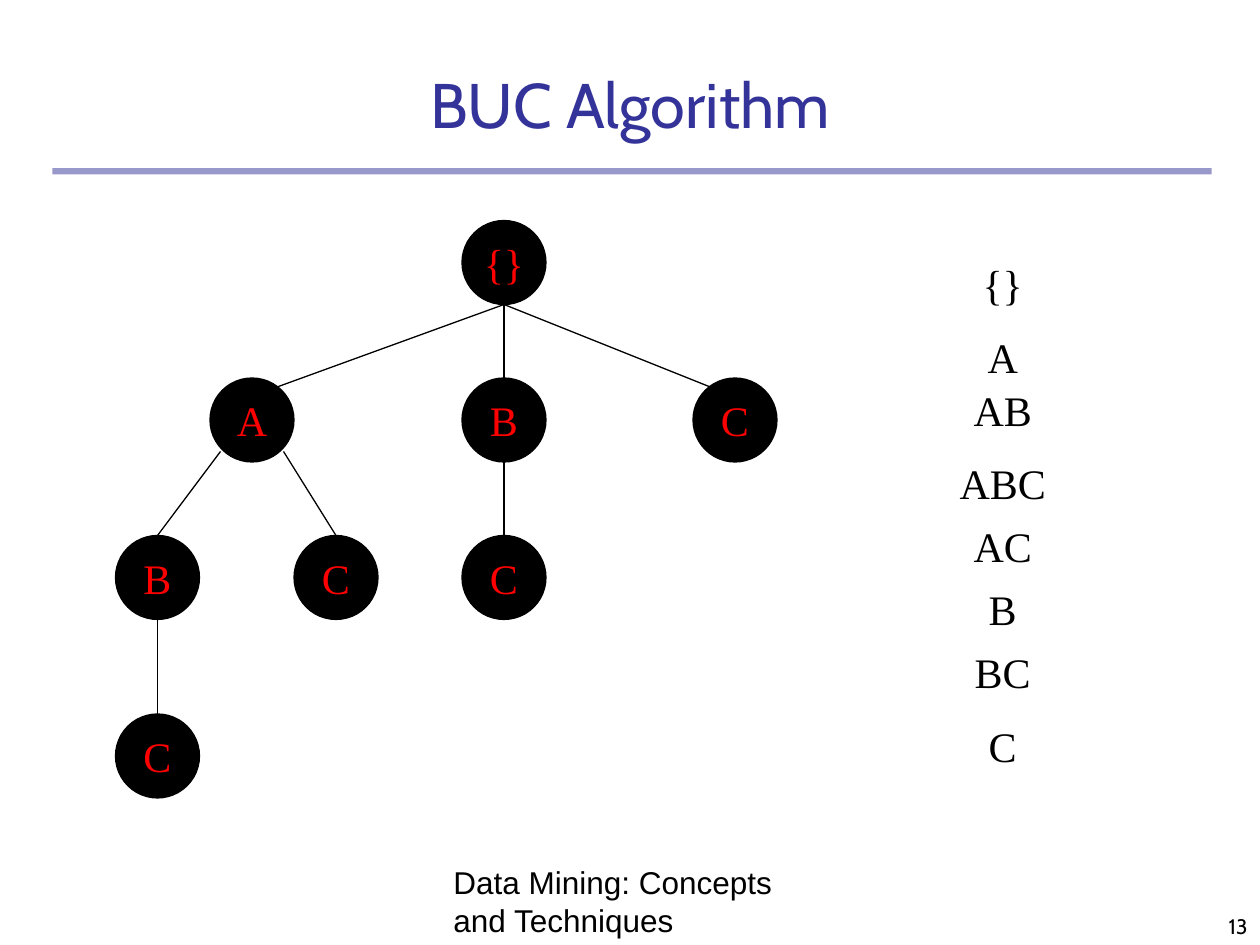
from collections import namedtuple

from lxml.etree import SubElement
from pptx import Presentation
from pptx.dml.color import RGBColor
from pptx.enum.shapes import MSO_CONNECTOR, MSO_SHAPE
from pptx.enum.text import MSO_ANCHOR, MSO_AUTO_SIZE, PP_ALIGN
from pptx.oxml.ns import qn
from pptx.util import Inches, Pt

COLORS = {"title": "333399", "ink": "000000", "label": "FF0000"}
COLUMNS, ROWS = 120, 90
WIDTH, HEIGHT = Inches(10), Inches(7.5)
NODE_SIZE = 8

Box = namedtuple("Box", "left top width height")
Node = namedtuple("Node", "label column row")
Edge = namedtuple("Edge", "parent child start_shift end_shift")

NODES = {
    "A": Node("A", 9, 15),
    "B": Node("B", 33, 15),
    "C": Node("C", 55, 15),
    "root": Node("{}", 33, 0),
    "BC": Node("C", 33, 30),
    "AB": Node("B", 0, 30),
    "ABC": Node("C", 0, 47),
    "AC": Node("C", 17, 30),
}
EDGES = [
    Edge("root", "B", 0, 0),
    Edge("root", "A", 0, 2),
    Edge("root", "C", 0, -2),
    Edge("B", "BC", 0, 0),
    Edge("A", "AB", -3, 0),
    Edge("A", "AC", 3, 0),
    Edge("AB", "ABC", 0, 0),
]
VISITS = [("{}", 0), ("A", 7), ("AB", 12), ("ABC", 19),
          ("AC", 25), ("B", 31), ("BC", 37), ("C", 44)]


def color(name):
    """Return a palette colour."""
    return RGBColor.from_string(COLORS[name])


def across(columns):
    """Turn grid columns into a length."""
    return round(WIDTH * columns / COLUMNS)


def down(rows):
    """Turn grid rows into a length."""
    return round(HEIGHT * rows / ROWS)


def place(box):
    """Turn a grid box into left, top, width and height."""
    return across(box.left), down(box.top), across(box.width), down(box.height)


def write(frame, text, size, font, ink, align=PP_ALIGN.CENTER,
          anchor=MSO_ANCHOR.TOP, wrap=True):
    """Put one formatted run into a text frame."""
    frame.auto_size = MSO_AUTO_SIZE.NONE
    frame.word_wrap = wrap
    frame.vertical_anchor = anchor
    para = frame.paragraphs[0]
    para.alignment = align
    span = para.add_run()
    span.text = text
    span.font.size = Pt(size)
    span.font.name = font
    span.font.color.rgb = color(ink)


def add_heading(page, box):
    """Place the title and the translucent rule below it."""
    rule = page.shapes.add_shape(
        MSO_SHAPE.RECTANGLE,
        *place(Box(box.left, box.top + 11, box.width + 0.4, 0.6)))
    rule.shadow.inherit = False
    rule.fill.solid()
    rule.fill.fore_color.rgb = color("title")
    shade = rule.fill._xPr.find(qn("a:solidFill"))[0]
    SubElement(shade, qn("a:alpha"), val="50000")
    rule.line.fill.background()
    title = page.shapes.title
    title.left, title.top, title.width, title.height = place(box)
    write(title.text_frame, "BUC Algorithm", 36, "Cabin", "title",
          anchor=MSO_ANCHOR.BOTTOM)


def add_node(tree, box, node):
    """Draw one labelled circle of the tree."""
    circle = tree.shapes.add_shape(MSO_SHAPE.OVAL, *place(
        Box(box.left + node.column, box.top + node.row, NODE_SIZE, NODE_SIZE)))
    circle.shadow.inherit = False
    circle.fill.solid()
    circle.fill.fore_color.rgb = color("ink")
    circle.line.color.rgb = color("ink")
    circle.line.width = Pt(0.75)
    write(circle.text_frame, node.label, 24, "Times New Roman", "label",
          anchor=MSO_ANCHOR.MIDDLE, wrap=False)


def add_edge(tree, box, edge):
    """Join a parent to a child, one row inside the circle when off centre."""
    parent, child = NODES[edge.parent], NODES[edge.child]
    middle = box.left + NODE_SIZE / 2
    start_row = parent.row + NODE_SIZE - bool(edge.start_shift)
    end_row = child.row + bool(edge.end_shift)
    line = tree.shapes.add_connector(
        MSO_CONNECTOR.STRAIGHT,
        across(middle + parent.column + edge.start_shift),
        down(box.top + start_row),
        across(middle + child.column + edge.end_shift),
        down(box.top + end_row))
    line.line.color.rgb = color("ink")
    line.line.width = Pt(0.75)
    SubElement(line._element.spPr, qn("a:effectLst"))


def add_tree(page, box):
    """Group the circles and lines of the search tree."""
    tree = page.shapes.add_group_shape()
    for node in NODES.values():
        add_node(tree, box, node)
    for edge in EDGES:
        add_edge(tree, box, edge)


def add_visits(page, box):
    """List the group-bys in the order they are visited."""
    for label, row in VISITS:
        visit = page.shapes.add_textbox(
            *place(Box(box.left, box.top + row, box.width, 6)))
        write(visit.text_frame, label, 24, "Times New Roman", "ink")


def add_footer(page, box):
    """Place the course name and the page number."""
    course = page.shapes.add_textbox(
        *place(Box(box.left, box.top, 38, box.height)))
    write(course.text_frame, "Data Mining: Concepts and Techniques", 18,
          "Arial", "ink", PP_ALIGN.LEFT, MSO_ANCHOR.BOTTOM)
    number = page.shapes.add_textbox(
        *place(Box(box.left + box.width - 25, box.top + 1, 25, box.height - 1)))
    write(number.text_frame, "13", 12, "Cabin", "ink", PP_ALIGN.RIGHT,
          MSO_ANCHOR.BOTTOM)


def main():
    """Build and save the slide."""
    deck = Presentation()
    deck.slide_width, deck.slide_height = WIDTH, HEIGHT
    page = deck.slides.add_slide(deck.slide_layouts[5])
    add_heading(page, Box(5, 5, 110, 9))
    add_tree(page, Box(11, 21, 63, 55))
    add_visits(page, Box(90, 24, 11, 50))
    add_footer(page, Box(42, 83, 78, 7))
    deck.save("out.pptx")


if __name__ == "__main__":
    main()
